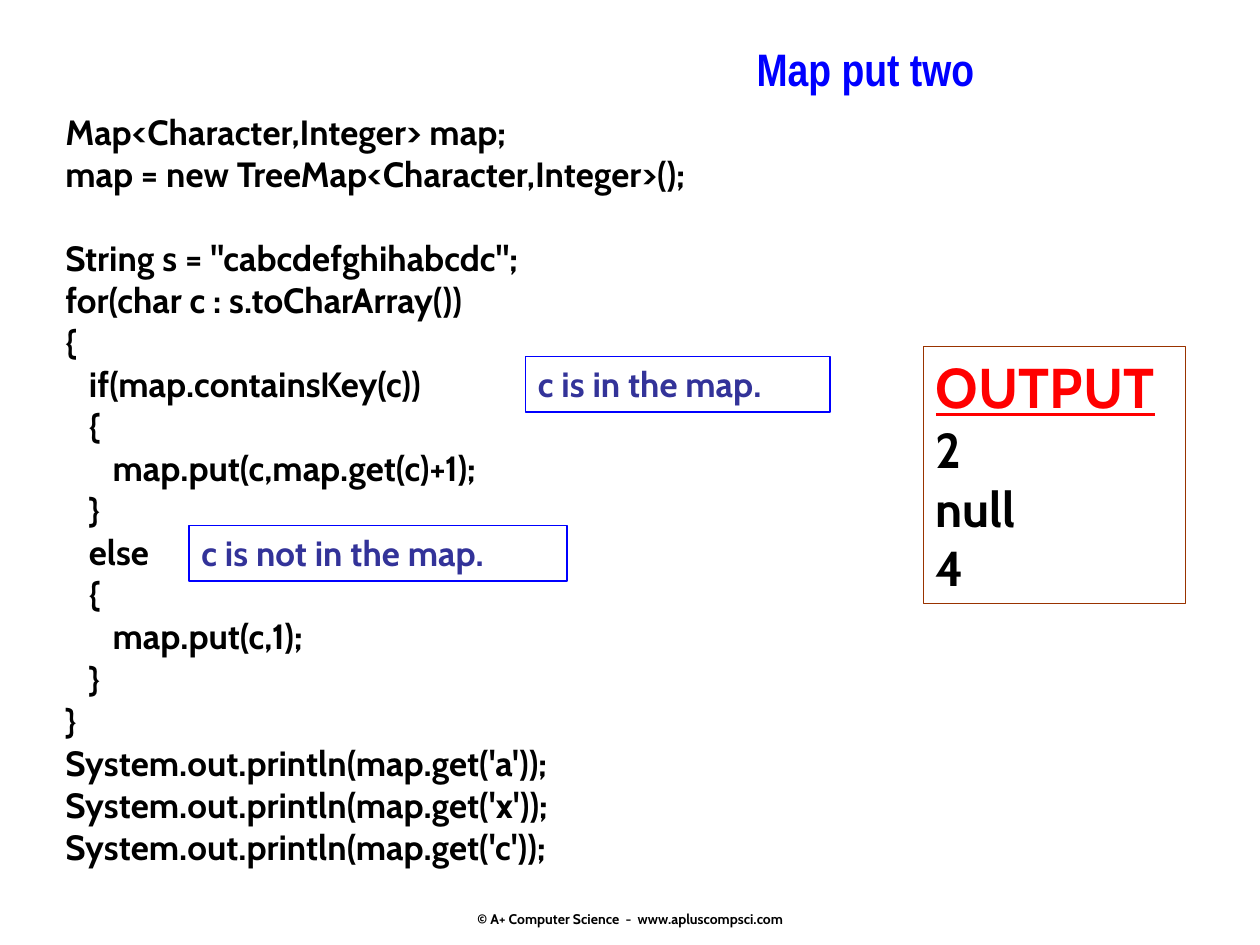
import pptx
import pptx.util
import pptx.dml.color
import pptx.enum.shapes
import pptx.enum.text

Inches = pptx.util.Inches
Pt = pptx.util.Pt
Align = pptx.enum.text.PP_ALIGN
Anchor = pptx.enum.text.MSO_ANCHOR

COLORS = {
    "ink": "000000",
    "blue": "0000FF",
    "navy": "333399",
    "red": "FF0000",
    "brown": "993300",
}

CODE = """Map<Character,Integer> map;
map = new TreeMap<Character,Integer>();
String s = "cabcdefghihabcdc";
for(char c : s.toCharArray())
{
   if(map.containsKey(c))
   {
      map.put(c,map.get(c)+1);
   }
   else
   {
      map.put(c,1);
   }
}
System.out.println(map.get('a'));
System.out.println(map.get('x'));
System.out.println(map.get('c'));"""


def color(name):
    return pptx.dml.color.RGBColor.from_string(COLORS[name])


class Deck:
    """Holds the style and the current slide."""

    font = "Cabin"

    def __init__(self, wide, high):
        self.show = pptx.Presentation()
        self.show.slide_width = Inches(wide)
        self.show.slide_height = Inches(high)
        self.slide = self.show.slides.add_slide(self.show.slide_layouts[6])

    def style(self, para, size, ink, font=None, align=Align.LEFT):
        para.alignment = align
        for run in para.runs:
            run.font.name = font or self.font
            run.font.size = Pt(size)
            run.font.bold = True
            run.font.color.rgb = color(ink)

    def fill(self, shape, text, size, ink, font=None, align=Align.LEFT,
             anchor=Anchor.TOP, wrap=True):
        frame = shape.text_frame
        frame.text = text
        frame.word_wrap = wrap
        frame.vertical_anchor = anchor
        for para in frame.paragraphs:
            self.style(para, size, ink, font, align)
        return frame.paragraphs

    def text(self, area, text, size, ink, **look):
        box = self.slide.shapes.add_textbox(*map(Inches, area))
        return self.fill(box, text, size, ink, **look)

    def frame(self, area, edge, text, size, ink):
        box = self.slide.shapes.add_shape(
            pptx.enum.shapes.MSO_SHAPE.RECTANGLE, *map(Inches, area))
        box.shadow.inherit = False
        box.fill.background()
        box.line.color.rgb = color(edge)
        box.line.width = Pt(1)
        return self.fill(box, text, size, ink)


def main():
    deck = Deck(10, 7.5)
    center = dict(align=Align.CENTER, anchor=Anchor.MIDDLE, wrap=False)

    # Footer
    deck.text((3.42, 7.09, 3.17, 0.4),
              "© A+ Computer Science  -  www.apluscompsci.com",
              8, "ink", **center)

    # Code, with a one-line gap after the declarations
    lines = deck.text((0.42, 0.83, 9.17, 6.11), CODE, 20, "ink")
    lines[2].space_before = Pt(24)

    # Title
    deck.text((4.08, 0.25, 5.58, 0.58), "Map put two", 26, "blue",
              font="Arial Narrow", **center)

    # Output panel with its underlined heading
    lines = deck.frame((7.33, 2.75, 2.08, 2.04), "brown",
                       "OUTPUT\n2\nnull\n4", 28, "ink")
    deck.style(lines[0], 32, "red")
    lines[0].runs[0].font.underline = True

    # Notes beside the two branches
    for left, top, width, note in (
            (1.5, 4.17, 3, "c is not in the map."),
            (4.17, 2.83, 2.42, "c is in the map.")):
        deck.frame((left, top, width, 0.44), "blue", note, 20, "navy")

    deck.show.save("out.pptx")


if __name__ == "__main__":
    main()
